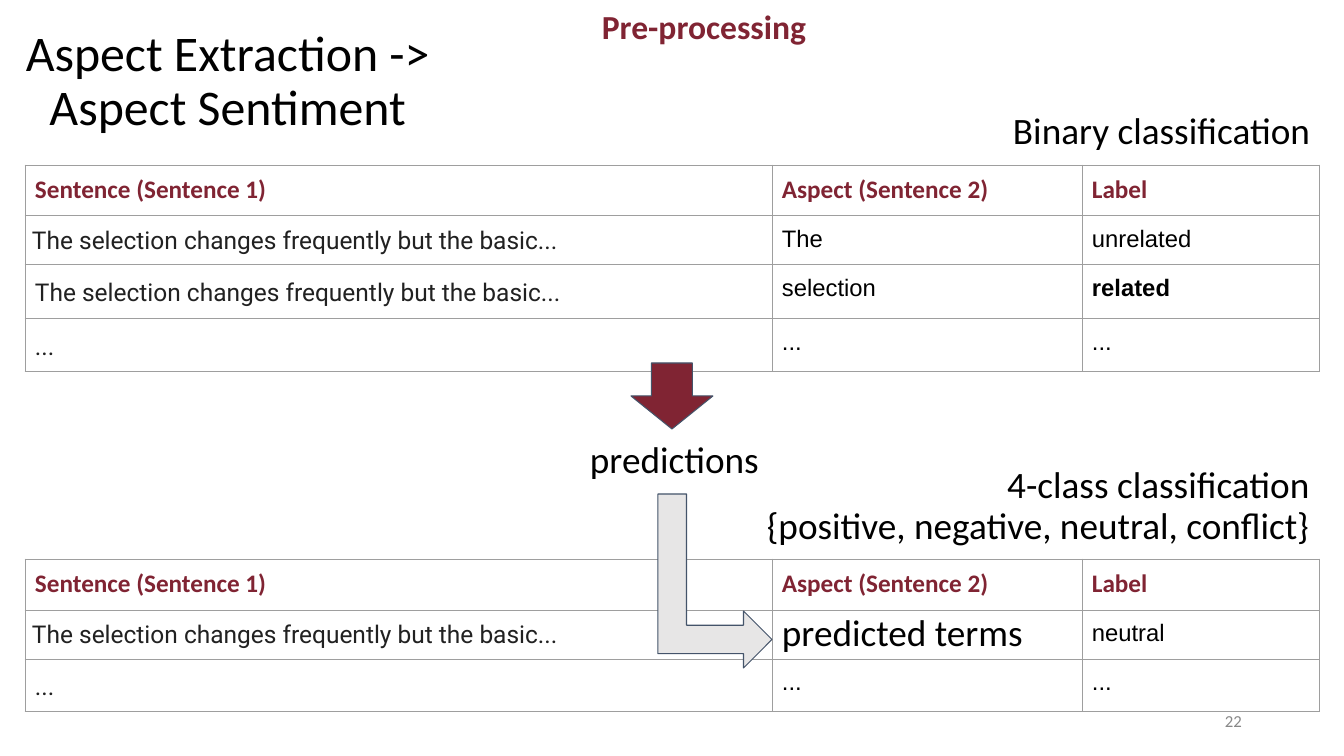
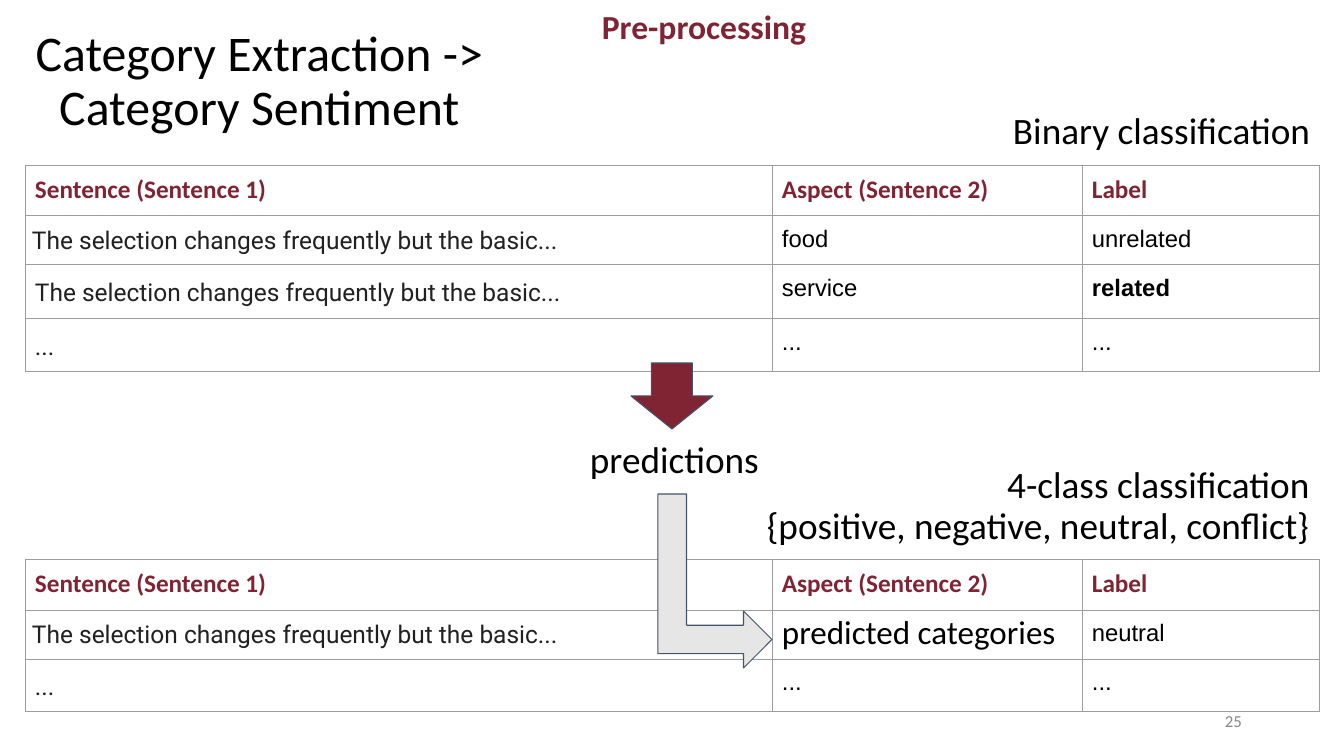
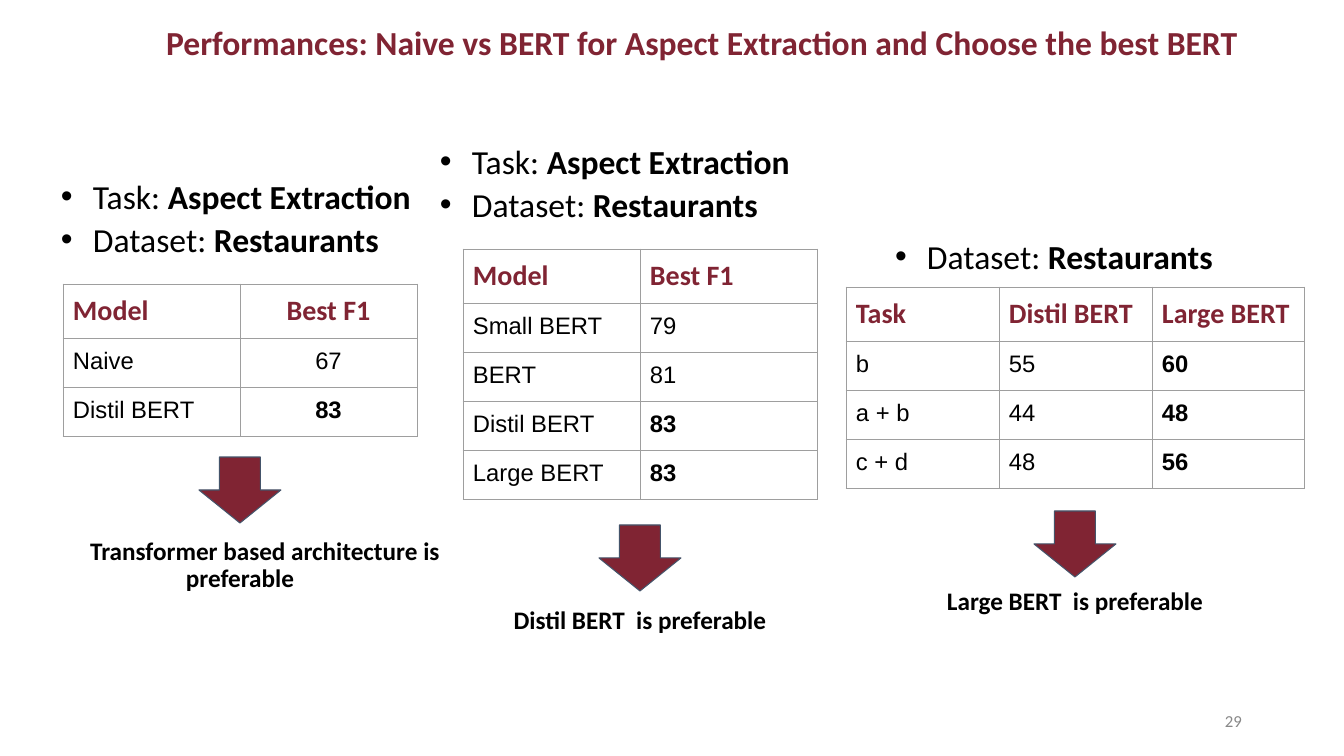
from lxml.etree import SubElement
from pptx import Presentation
from pptx.dml.color import RGBColor
from pptx.enum.shapes import MSO_SHAPE
from pptx.enum.text import MSO_ANCHOR, MSO_AUTO_SIZE, PP_ALIGN
from pptx.oxml.ns import qn
from pptx.util import Pt

SLIDE_WIDTH, SLIDE_HEIGHT = 1344, 756
EMU_PER_PX = 12192000 / SLIDE_WIDTH

MAROON, BLACK, CHARCOAL = "802433", "000000", "212121"
GREY, PALE, SLATE, RULE = "888888", "E7E6E6", "44546A", "9E9E9E"

LEFT, CENTER, RIGHT = PP_ALIGN.LEFT, PP_ALIGN.CENTER, PP_ALIGN.RIGHT
TOP, MIDDLE = MSO_ANCHOR.TOP, MSO_ANCHOR.MIDDLE

# Text styles: font values, then paragraph values
BASE = {"name": "Calibri", "size": 24, "color": BLACK, "bold": False,
        "alignment": LEFT, "line_spacing": 0.9}
HEADING = {**BASE, "color": MAROON, "bold": True, "alignment": CENTER}
TITLE = {**BASE, "size": 35.6, "alignment": CENTER}
LABEL = {**BASE, "size": 26.6}
CAPTION = {**BASE, "size": 18, "bold": True, "alignment": CENTER}
PAGE_NUMBER = {**BASE, "size": 12, "color": GREY, "alignment": RIGHT, "line_spacing": 1.0}
COLUMN_HEAD = {**BASE, "size": 18, "color": MAROON, "bold": True, "line_spacing": 1.0}
MODEL_HEAD = {**COLUMN_HEAD, "size": 20}
VALUE = {**BASE, "name": "Arial", "size": 17, "line_spacing": 1.0}
STRONG = {**VALUE, "bold": True}
SENTENCE = {**BASE, "name": "Roboto", "size": 17.5, "color": CHARCOAL, "line_spacing": 1.15}

HEADING_INSETS = (10, 10)
LABEL_INSETS = (10, 5)
ARROW_WIDTH, ARROW_HEIGHT = 82, 66
CAPTION_WIDTH, CAPTION_HEIGHT = 420, 88
BULLET_INDENT = 32


def px(length):
    return round(length * EMU_PER_PX)


def rgb(color):
    return RGBColor.from_string(color)


def apply_format(target, values):
    for name, value in values.items():
        setattr(target, name, value)


def write_runs(paragraph, runs, style):
    """Fill a paragraph with (text, bold) runs in one style."""
    apply_format(paragraph, {key: style[key] for key in ("alignment", "line_spacing")})
    for text, bold in runs:
        run = paragraph.add_run()
        apply_format(run, {"text": text})
        apply_format(run.font, {"name": style["name"], "size": Pt(style["size"]), "bold": bold})
        run.font.color.rgb = rgb(style["color"])


def write_paragraphs(frame, paragraphs, style):
    for index, runs in enumerate(paragraphs):
        paragraph = frame.paragraphs[0] if index == 0 else frame.add_paragraph()
        write_runs(paragraph, runs, style)


def set_insets(target, horizontal, vertical):
    apply_format(target, {"margin_left": px(horizontal), "margin_right": px(horizontal),
                          "margin_top": px(vertical), "margin_bottom": px(vertical)})


def fill_text_shape(shape, box, lines, style, anchor, insets):
    """Place a text shape and write its lines."""
    apply_format(shape, dict(zip(("left", "top", "width", "height"), map(px, box))))
    frame = shape.text_frame
    apply_format(frame, {"word_wrap": True, "auto_size": MSO_AUTO_SIZE.NONE,
                         "vertical_anchor": anchor})
    set_insets(frame, *insets)
    write_paragraphs(frame, [[(line, style["bold"])] for line in lines], style)
    return frame


def add_text(slide, box, lines, style, anchor=MIDDLE, insets=LABEL_INSETS):
    shape = slide.shapes.add_textbox(0, 0, 0, 0)
    return fill_text_shape(shape, box, lines, style, anchor, insets)


def add_bullets(slide, left, top, items):
    """Bulleted lines of a plain name and a bold value."""
    frame = add_text(slide, (left, top, 398, 100), [], BASE, TOP, HEADING_INSETS)
    write_paragraphs(frame, [[(f"{name}: ", False), (value, True)] for name, value in items], BASE)
    for index, paragraph in enumerate(frame.paragraphs):
        paragraph.space_before = Pt(5 if index else 0)
        properties = paragraph._p.get_or_add_pPr()
        properties.set("marL", str(px(BULLET_INDENT)))
        properties.set("indent", str(-px(BULLET_INDENT)))
        SubElement(properties, qn("a:buFont"), typeface="Arial")
        SubElement(properties, qn("a:buChar"), char="•")


def add_arrow(slide, preset, box, color, rotation=0):
    shape = slide.shapes.add_shape(preset, *map(px, box))
    shape.shadow.inherit = False
    shape.rotation = rotation
    shape.fill.solid()
    shape.fill.fore_color.rgb = rgb(color)
    shape.line.color.rgb = rgb(SLATE)
    shape.line.width = Pt(0.75)


def add_down_arrow(slide, center, top):
    box = (center - ARROW_WIDTH // 2, top, ARROW_WIDTH, ARROW_HEIGHT)
    add_arrow(slide, MSO_SHAPE.DOWN_ARROW, box, MAROON)


def add_cell_borders(cell):
    properties = cell._tc.get_or_add_tcPr()
    for side in ("a:lnL", "a:lnR", "a:lnT", "a:lnB"):
        line = SubElement(properties, qn(side), w=str(Pt(0.75)))
        SubElement(SubElement(line, qn("a:solidFill")), qn("a:srgbClr"), val=RULE)


def add_grid(slide, left, top, widths, heights, rows):
    """Ruled table; each cell is (text, style) or (text, style, inset)."""
    frame = slide.shapes.add_table(len(heights), len(widths), px(left), px(top),
                                   px(sum(widths)), px(sum(heights)))
    table = frame.table
    apply_format(table, {"first_row": False, "horz_banding": False})
    for column, width in zip(table.columns, widths):
        column.width = px(width)
    for row, height, contents in zip(table.rows, heights, rows):
        row.height = px(height)
        for cell, (text, style, *inset) in zip(row.cells, contents):
            margin = inset[0] if inset else 10
            set_insets(cell, margin, margin)
            add_cell_borders(cell)
            cell.fill.background()
            if text:
                write_runs(cell.text_frame.paragraphs[0], [(text, style["bold"])], style)


def new_slide(presentation, number, title, box, style, anchor, insets):
    """Title-only slide with its title and page number."""
    slide = presentation.slides.add_slide(presentation.slide_layouts[5])
    fill_text_shape(slide.shapes.title, box, title, style, anchor, insets)
    add_text(slide, (950, 701, 302, 40), [str(number)], PAGE_NUMBER)
    return slide


def add_pipeline_slide(presentation, number, title, title_width, terms, predicted, predicted_size):
    slide = new_slide(presentation, number, title, (11, 0, title_width, 165),
                      TITLE, MIDDLE, LABEL_INSETS)
    add_text(slide, (43, 0, 1322, 57), ["Pre-processing"], HEADING, TOP, HEADING_INSETS)

    # Rows that both tables use
    columns = (747, 310, 237)
    sentence = "The selection changes frequently but the basic..."
    heads = [(text, COLUMN_HEAD)
             for text in ("Sentence (Sentence 1)", "Aspect (Sentence 2)", "Label")]
    more = [("...", SENTENCE), ("...", VALUE), ("...", VALUE)]

    # First stage and its output
    add_grid(slide, 25, 165, columns, (50, 49, 54, 53), [
        heads,
        [(sentence, SENTENCE, 7), (terms[0], VALUE), ("unrelated", VALUE)],
        [(sentence, SENTENCE), (terms[1], VALUE), ("related", STRONG)],
        more])
    add_down_arrow(slide, 672, 363)
    add_text(slide, (580, 428, 207, 66), ["predictions"], LABEL)

    # Second stage, fed by the predictions
    add_grid(slide, 25, 559, columns, (51, 49, 53), [
        heads,
        [(sentence, SENTENCE, 7), ("", VALUE, 0), ("neutral", VALUE)],
        more])
    add_arrow(slide, MSO_SHAPE.BENT_UP_ARROW, (628, 524, 174, 114), PALE, 90)
    add_text(slide, (772, 610, 302, 48), [predicted], {**LABEL, "size": predicted_size})

    # Kind of classification above each table
    add_text(slide, (1003, 88, 333, 88), ["Binary classification"], LABEL)
    add_text(slide, (747, 463, 573, 88),
             ["4-class classification", "{positive, negative, neutral, conflict}"],
             {**LABEL, "alignment": RIGHT})


def add_result_panel(slide, bullets, bullets_at, table_at, column_width, rows,
                     arrow_top, caption, caption_top, value_align=LEFT, first_indent=0):
    """Bullets, a score table, an arrow and the conclusion below it."""
    heads, *records = rows
    best = max(int(record[-1]) for record in records)
    bold_all = len(heads) > 2
    grid = [[(text, {**MODEL_HEAD, "alignment": value_align if index else LEFT})
             for index, text in enumerate(heads)]]
    for *texts, score in records:
        style = STRONG if bold_all or int(score) == best else VALUE
        grid.append([(text, VALUE) for text in texts]
                    + [(score, {**style, "alignment": value_align})])
    widths = [column_width] * len(heads)
    add_grid(slide, *table_at, widths, [53] + [49] * len(records), grid)
    add_bullets(slide, *bullets_at, bullets)

    center = table_at[0] + sum(widths) // 2
    add_down_arrow(slide, center, arrow_top)
    frame = add_text(slide, (center - CAPTION_WIDTH // 2, caption_top,
                             CAPTION_WIDTH, CAPTION_HEIGHT), [caption], CAPTION)
    if first_indent:
        properties = frame.paragraphs[0]._p.get_or_add_pPr()
        properties.set("marL", "0")
        properties.set("indent", str(px(first_indent)))


def add_performance_slide(presentation):
    slide = new_slide(
        presentation, 29,
        ["Performances: Naive vs BERT for Aspect Extraction and Choose the best BERT"],
        (41, 16, 1322, 57), HEADING, TOP, HEADING_INSETS)
    dataset = ("Dataset", "Restaurants")
    task_and_dataset = [("Task", "Aspect Extraction"), dataset]

    add_result_panel(
        slide, task_and_dataset, (51, 170), (63, 284), 177,
        [("Model", "Best F1"), ("Naive", "67"), ("Distil BERT", "83")],
        457, "Transformer based architecture is preferable", 522,
        value_align=CENTER, first_indent=50)
    add_result_panel(
        slide, task_and_dataset, (430, 135), (463, 249), 177,
        [("Model", "Best F1"), ("Small BERT", "79"), ("BERT", "81"),
         ("Distil BERT", "83"), ("Large BERT", "83")],
        525, "Distil BERT  is preferable", 577)
    add_result_panel(
        slide, [dataset], (885, 230), (846, 287), 153,
        [("Task", "Distil BERT", "Large BERT"), ("b", "55", "60"),
         ("a + b", "44", "48"), ("c + d", "48", "56")],
        511, "Large BERT  is preferable", 558)


def main():
    presentation = Presentation()
    apply_format(presentation, {"slide_width": px(SLIDE_WIDTH), "slide_height": px(SLIDE_HEIGHT)})
    add_pipeline_slide(presentation, 22, ["Aspect Extraction ->", "Aspect Sentiment"], 434,
                       ("The", "selection"), "predicted terms", 26.6)
    add_pipeline_slide(presentation, 25, ["Category Extraction ->", "Category Sentiment"], 497,
                       ("food", "service"), "predicted categories", 23.6)
    add_performance_slide(presentation)
    presentation.save("out.pptx")


if __name__ == "__main__":
    main()
